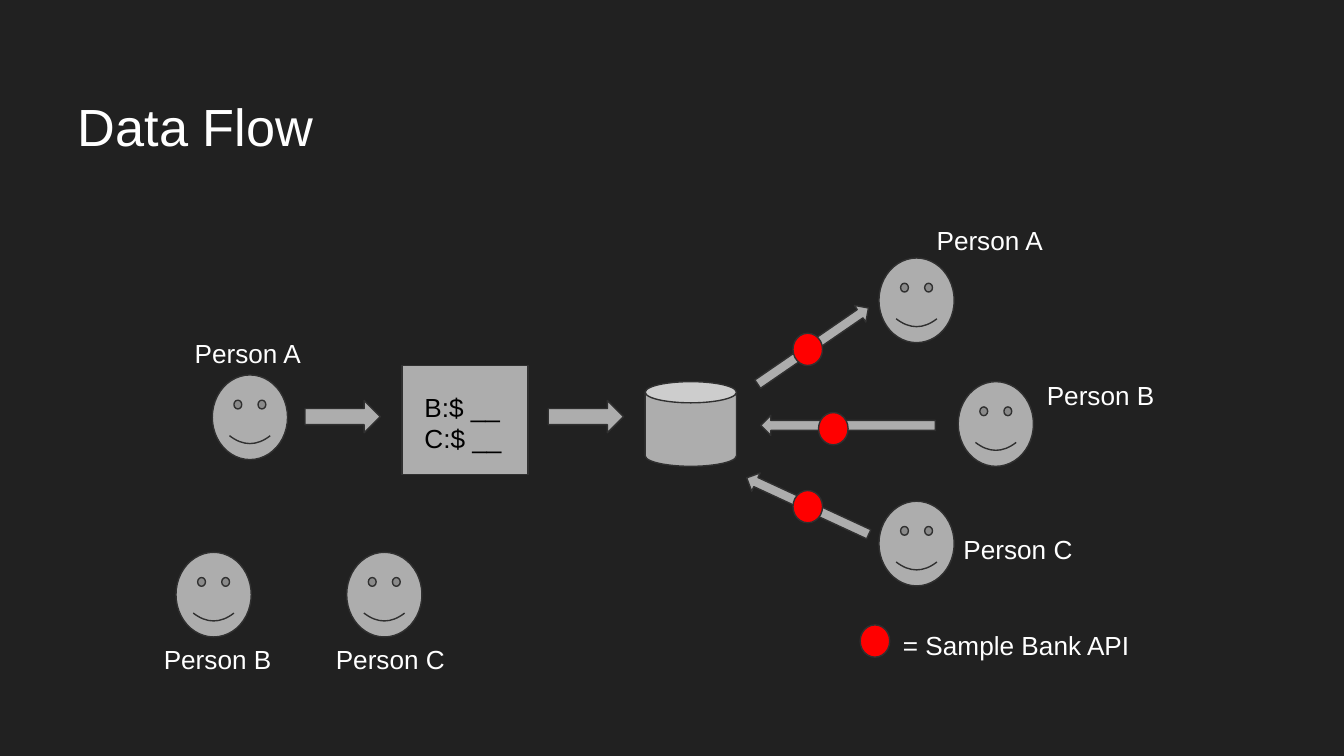
import pptx
import pptx.dml.color
import pptx.enum.shapes
import pptx.enum.text
import pptx.util

Inches = pptx.util.Inches
Pt = pptx.util.Pt
RGBColor = pptx.dml.color.RGBColor
Shape = pptx.enum.shapes.MSO_SHAPE

BACKGROUND = RGBColor(0x21, 0x21, 0x21)
GRAY = RGBColor(0xAD, 0xAD, 0xAD)
OUTLINE = RGBColor(0x30, 0x30, 0x30)
RED = RGBColor(0xFF, 0x00, 0x00)
WHITE = RGBColor(0xFF, 0xFF, 0xFF)
BLACK = RGBColor(0x00, 0x00, 0x00)


def write_text(frame, *lines, size=14, color=WHITE, font="Arial"):
    frame.word_wrap = True
    frame.auto_size = pptx.enum.text.MSO_AUTO_SIZE.NONE
    frame.vertical_anchor = pptx.enum.text.MSO_ANCHOR.TOP
    frame.margin_left = frame.margin_right = Inches(0.1)
    frame.margin_top = frame.margin_bottom = Inches(0.1)
    for index, line in enumerate(lines):
        paragraph = frame.add_paragraph() if index else frame.paragraphs[0]
        paragraph.alignment = pptx.enum.text.PP_ALIGN.LEFT
        run = paragraph.add_run()
        run.text = line
        run.font.size = Pt(size)
        run.font.name = font
        run.font.color.rgb = color


class FlowSlide:
    def __init__(self, presentation):
        self.slide = presentation.slides.add_slide(presentation.slide_layouts[5])
        self.slide.background.fill.solid()
        self.slide.background.fill.fore_color.rgb = BACKGROUND

    def title(self, text):
        title = self.slide.shapes.title
        title.left, title.top = Inches(0.48), Inches(0.6)
        title.width, title.height = Inches(9.32), Inches(0.63)
        write_text(title.text_frame, text, size=28)

    def shape(self, kind, left, top, width, height, fill=GRAY):
        shape = self.slide.shapes.add_shape(
            kind, Inches(left), Inches(top), Inches(width), Inches(height))
        shape.shadow.inherit = False
        shape.fill.solid()
        shape.fill.fore_color.rgb = fill
        shape.line.color.rgb = OUTLINE
        shape.line.width = Pt(0.75)
        return shape

    def label(self, left, top, *lines, width=1.08, height=0.37, color=WHITE):
        box = self.slide.shapes.add_textbox(
            Inches(left), Inches(top), Inches(width), Inches(height))
        write_text(box.text_frame, *lines, color=color)

    def person(self, name, face, label):
        """Draw a face and its name, each given by its left and top."""
        self.shape(Shape.SMILEY_FACE, *face, 0.56, 0.63)
        self.label(*label, f"Person {name}")

    def arrow(self, left, top, width=0.56, height=0.24, rotation=0):
        arrow = self.shape(Shape.RIGHT_ARROW, left, top, width, height)
        arrow.rotation = rotation

    def api_dot(self, left, top):
        self.shape(Shape.OVAL, left, top, 0.22, 0.24, fill=RED)


def main():
    presentation = pptx.Presentation()
    presentation.slide_width = Inches(10)
    presentation.slide_height = presentation.slide_width * 9 // 16
    flow = FlowSlide(presentation)
    flow.title("Data Flow")

    # Request form and database
    flow.shape(Shape.RECTANGLE, 2.99, 2.72, 0.94, 0.81)
    flow.label(3.06, 2.81, "B:$ __", "C:$ __", width=0.94, height=0.63, color=BLACK)
    flow.shape(Shape.CAN, 4.8, 2.84, 0.68, 0.63)
    for left in (2.27, 4.08):
        flow.arrow(left, 2.98)

    # The group before and after the request
    people = [
        ("A", (1.58, 2.79), (1.35, 2.41)),
        ("B", (1.31, 4.11), (1.12, 4.69)),
        ("C", (2.58, 4.11), (2.4, 4.69)),
        ("A", (6.54, 1.92), (6.87, 1.57)),
        ("B", (7.13, 2.84), (7.69, 2.72)),
        ("C", (6.54, 3.73), (7.07, 3.87)),
    ]
    for name, face, label in people:
        flow.person(name, face, label)

    # Transfers, each passing through the API
    transfers = [
        (5.55, 2.5, 1, 325.5, (5.9, 2.48)),
        (5.66, 3.09, 1.3, 180, (6.09, 3.07)),
        (5.51, 3.69, 1, 204.8, (5.9, 3.65)),
    ]
    for left, top, width, rotation, dot in transfers:
        flow.arrow(left, top, width, 0.15, rotation)
        flow.api_dot(*dot)

    # Legend
    flow.api_dot(6.4, 4.65)
    flow.label(6.62, 4.58, "= Sample Bank API", width=2.49)

    presentation.save("out.pptx")


if __name__ == "__main__":
    main()
